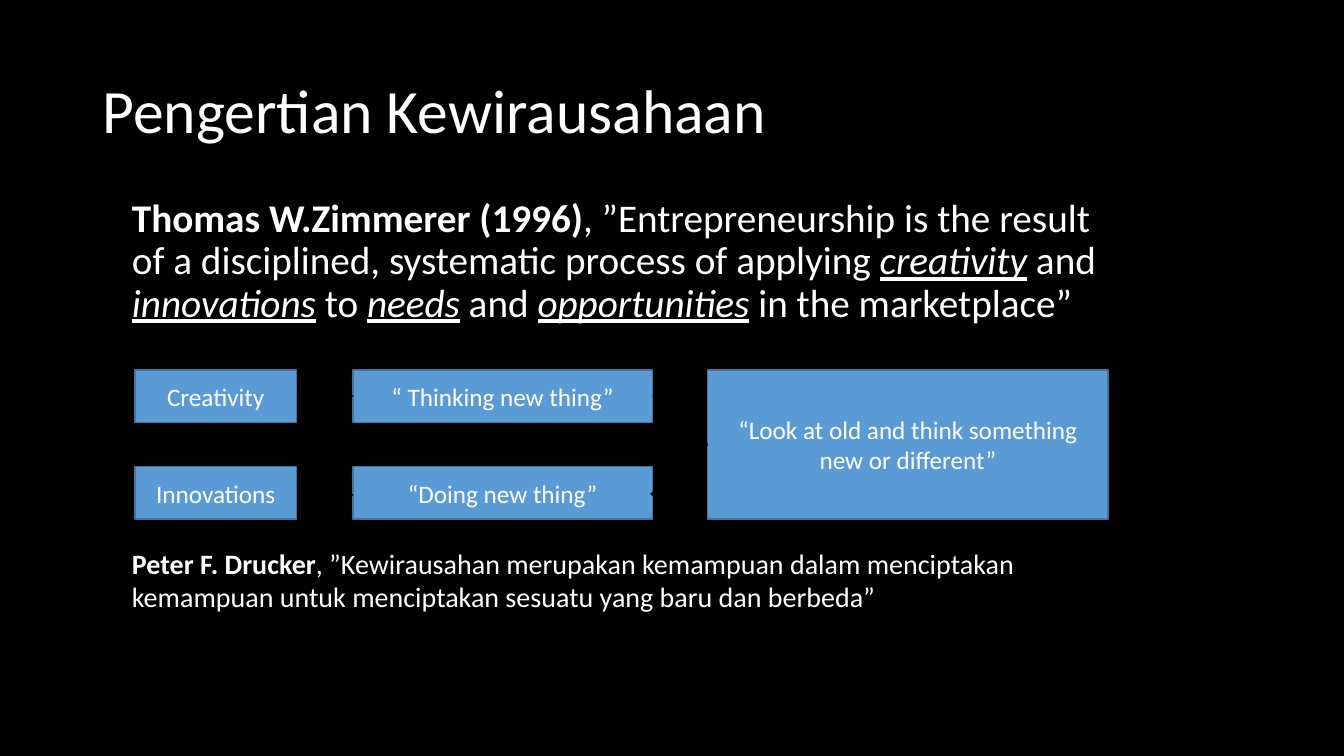
from lxml import etree
from pptx import Presentation
from pptx.dml.color import RGBColor
from pptx.enum.shapes import MSO_CONNECTOR as CONN, MSO_SHAPE as SHAPE
from pptx.enum.text import MSO_ANCHOR as ANCHOR, PP_ALIGN as ALIGN
from pptx.oxml.ns import qn
from pptx.util import Inches, Pt

BLACK, WHITE, BLUE, EDGE = "000000", "FFFFFF", "5B9BD5", "43739E"
PLAIN, BOLD = {}, {"bold": True}
KEYWORD = {"italic": True, "underline": True}

TEXT_LEFT, TEXT_WIDTH, TEXT_HEIGHT = 1.21, 9.78, 1.53
ROW_TOPS, BOX_HEIGHT = (3.67, 4.63), 0.52
COLUMNS = [
    (1.34, 1.6, ("Creativity", "Innovations")),
    (3.5, 2.97, ("“ Thinking new thing”", "“Doing new thing”")),
]
ARROWS = [
    (2.96, 3.93, 3.51, 3.93),
    (2.96, 4.91, 3.51, 4.91),
    (6.46, 4.91, 7.02, 4.41),
    (6.48, 3.92, 7.02, 4.41),
]
ZIMMERER = [
    ("Thomas W.Zimmerer (1996)", BOLD),
    (", ”Entrepreneurship is the result of a disciplined, systematic "
     "process of applying ", PLAIN),
    ("creativity", KEYWORD),
    (" and ", PLAIN),
    ("innovations", KEYWORD),
    (" to ", PLAIN),
    ("needs", KEYWORD),
    (" and ", PLAIN),
    ("opportunities", KEYWORD),
    (" in the marketplace”", PLAIN),
]
DRUCKER = [
    ("Peter F. Drucker", BOLD),
    (", ”Kewirausahan merupakan kemampuan dalam menciptakan kemampuan "
     "untuk menciptakan sesuatu yang baru dan berbeda”", PLAIN),
]


def rgb(color):
    return RGBColor.from_string(color)


def set_values(target, values):
    for name, value in values.items():
        setattr(target, name, value)


def write(shape, runs, size, anchor=ANCHOR.TOP, **paragraph):
    tf = shape.text_frame
    set_values(tf, {"word_wrap": True, "vertical_anchor": anchor})
    p = tf.paragraphs[0]
    set_values(p, paragraph)
    for text, style in runs:
        r = p.add_run()
        r.text = text
        set_values(r.font, {"name": "Calibri", "size": Pt(size), **style})
        r.font.color.rgb = rgb(WHITE)


def add_text(s, box, runs, size, **layout):
    write(s.shapes.add_textbox(*map(Inches, box)), runs, size, **layout)


def add_box(s, box, text):
    sp = s.shapes.add_shape(SHAPE.RECTANGLE, *map(Inches, box))
    sp.shadow.inherit = False
    sp.fill.solid()
    sp.fill.fore_color.rgb = rgb(BLUE)
    sp.line.color.rgb = rgb(EDGE)
    sp.line.width = Pt(1)
    write(sp, [(text, PLAIN)], 18, ANCHOR.MIDDLE, alignment=ALIGN.CENTER)


def add_arrow(s, ends):
    arrow = s.shapes.add_connector(CONN.STRAIGHT, *map(Inches, ends))
    arrow.line.color.rgb = rgb(BLACK)
    arrow.line.width = Pt(2.25)
    ln = arrow.line._get_or_add_ln()
    etree.SubElement(ln, qn("a:tailEnd"), type="triangle")
    etree.SubElement(ln.getparent(), qn("a:effectLst"))


def main():
    prs = Presentation()
    prs.slide_width, prs.slide_height = Inches(13.33), Inches(7.5)
    s = prs.slides.add_slide(prs.slide_layouts[6])
    s.background.fill.solid()
    s.background.fill.fore_color.rgb = rgb(BLACK)

    add_text(s, (0.92, 0.4, 11.5, 1.45), [("Pengertian Kewirausahaan", PLAIN)],
             44, anchor=ANCHOR.MIDDLE, line_spacing=0.9)
    add_text(s, (TEXT_LEFT, 1.92, TEXT_WIDTH, TEXT_HEIGHT), ZIMMERER, 28,
             line_spacing=0.9, space_before=Pt(10))
    for left, width, labels in COLUMNS:
        for top, label in zip(ROW_TOPS, labels):
            add_box(s, (left, top, width, BOX_HEIGHT), label)
    add_box(s, (7.02, ROW_TOPS[0], 3.97, ROW_TOPS[1] + BOX_HEIGHT - ROW_TOPS[0]),
            "“Look at old and think something new or different”")
    add_text(s, (TEXT_LEFT, 5.37, TEXT_WIDTH, TEXT_HEIGHT), DRUCKER, 20,
             space_before=Pt(10))
    for ends in ARROWS:
        add_arrow(s, ends)
    prs.save("out.pptx")


if __name__ == "__main__":
    main()
